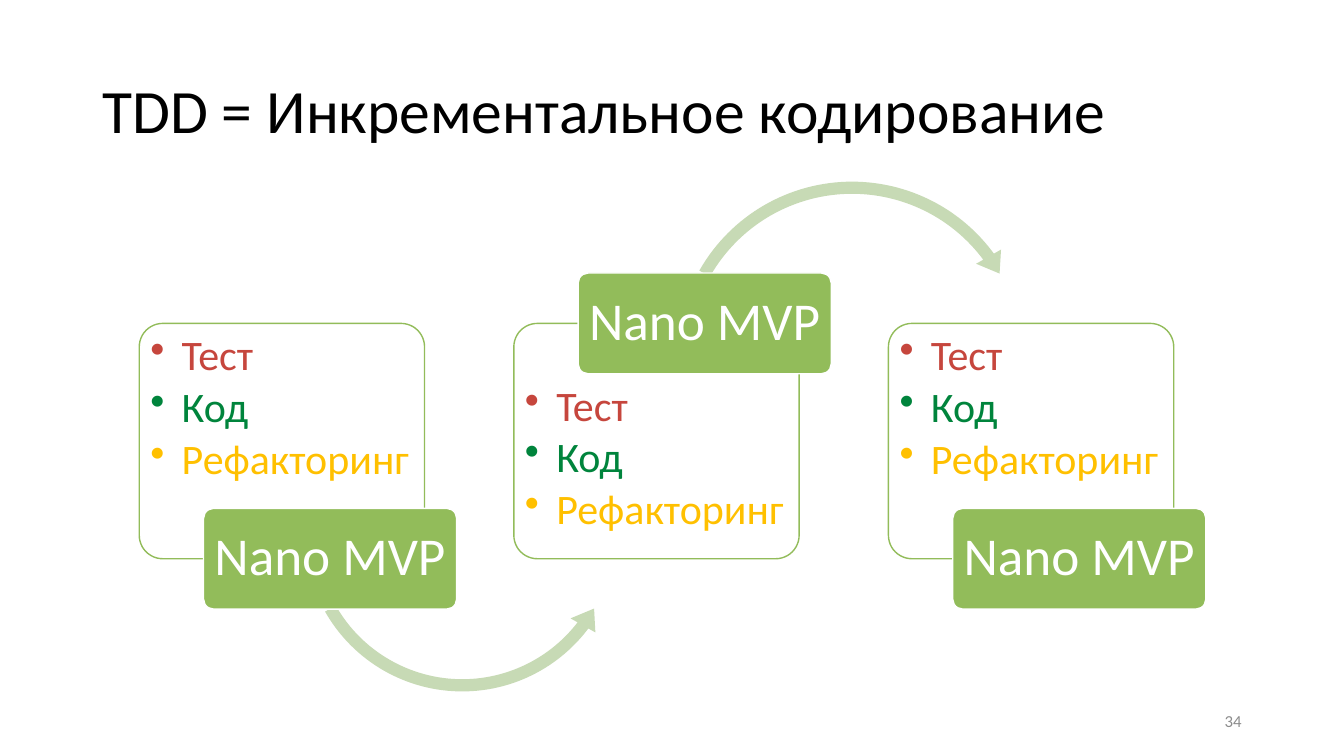
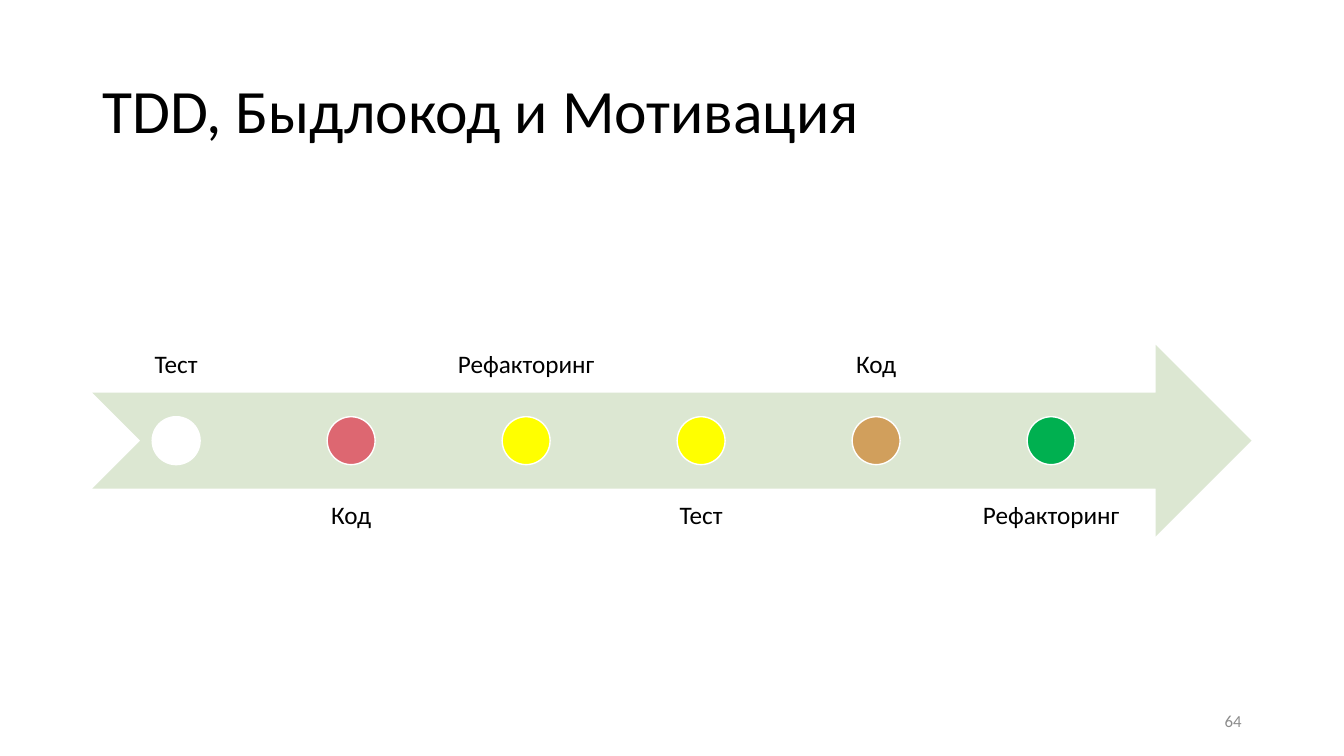
import pptx
import pptx.dml.color
import pptx.enum.shapes
import pptx.enum.text
import pptx.oxml.ns
import pptx.util
from lxml import etree

Cm, Pt = pptx.util.Cm, pptx.util.Pt
KIND = pptx.enum.shapes.MSO_SHAPE
ALIGN = pptx.enum.text.PP_ALIGN
ANCHOR = pptx.enum.text.MSO_ANCHOR

INK, WHITE, GREY = "000000", "FFFFFF", "8C8C8C"
GREEN, SWEEP, BAND = "92BC5A", "C7DAB5", "DCE7D2"

TITLE = {"size": 44, "color": INK, "spacing": 0.9, "anchor": ANCHOR.MIDDLE}
NUMBER = {"size": 12, "color": GREY, "align": ALIGN.RIGHT, "anchor": ANCHOR.MIDDLE}
LABEL = {"size": 38, "color": WHITE, "spacing": 0.9, "align": ALIGN.CENTER,
         "anchor": ANCHOR.MIDDLE, "inset": (0, 0.13)}
STAGE = {"size": 18, "color": INK, "spacing": 0.9, "align": ALIGN.CENTER,
         "inset": (0.36, 0.36)}
POINT = {"size": 30, "spacing": 0.9, "after": 4.5, "bullet": 0.79,
         "inset": (0.15, 0.15)}

POINTS = [("Тест", "C6463D"), ("Код", "00843C"), ("Рефакторинг", "FFC000")]
STEPS = [("Тест", WHITE), ("Код", "DD6771"), ("Рефакторинг", "FFFF00"),
         ("Тест", "FFFF00"), ("Код", "D19F5C"), ("Рефакторинг", "00B050")]


def rgb(code):
    """Turn a hex string into a colour."""
    return pptx.dml.color.RGBColor.from_string(code)


def apply(item, values):
    """Set each named attribute of an item."""
    for name, value in values.items():
        setattr(item, name, value)


def bullet(para, indent):
    """Give a paragraph a hanging round bullet."""
    props = para._p.get_or_add_pPr()
    props.set("marL", str(Cm(indent)))
    props.set("indent", str(-Cm(indent)))
    mark = etree.SubElement(props, pptx.oxml.ns.qn("a:buChar"))
    mark.set("char", "•")


def write(shape, lines, style):
    """Fill a shape with (text, colour) lines in one style."""
    frame = shape.text_frame
    side, edge = style.get("inset", (0.25, 0.13))
    apply(frame, {
        "word_wrap": True,
        "vertical_anchor": style.get("anchor", ANCHOR.TOP),
        "margin_left": Cm(side), "margin_right": Cm(side),
        "margin_top": Cm(edge), "margin_bottom": Cm(edge)})
    for index, (text, color) in enumerate(lines):
        para = frame.add_paragraph() if index else frame.paragraphs[0]
        if "bullet" in style:
            bullet(para, style["bullet"])
        apply(para, {
            "alignment": style.get("align", ALIGN.LEFT),
            "line_spacing": style.get("spacing", 1.0),
            "space_after": Pt(style.get("after", 0))})
        run = para.add_run()
        run.text = text
        apply(run.font, {"name": "Calibri", "size": Pt(style["size"])})
        run.font.color.rgb = rgb(color)


def note(slide, box, lines, style):
    """Place a text box."""
    if isinstance(lines, str):
        lines = [(lines, style["color"])]
    write(slide.shapes.add_textbox(*map(Cm, box)), lines, style)


def draw(slide, kind, box, fill, line=None, adjust=()):
    """Place a preset shape with flat fill and optional outline."""
    shape = slide.shapes.add_shape(kind, *map(Cm, box))
    shape.shadow.inherit = False
    shape.fill.solid()
    shape.fill.fore_color.rgb = rgb(fill)
    if line:
        shape.line.color.rgb = rgb(line)
        shape.line.width = Pt(1)
    else:
        shape.line.fill.background()
    for index, value in enumerate(adjust):
        shape.adjustments[index] = value
    return shape


def start(deck, title, number):
    """Add a slide with its title and page number."""
    slide = deck.slides.add_slide(deck.slide_layouts[6])
    note(slide, (2.33, 1.01, 29.21, 3.68), title, TITLE)
    note(slide, (23.92, 17.65, 7.62, 1.01), number, NUMBER)
    return slide


def card(slide, box, flip, arrow):
    """Draw a bulleted card, its outgoing arrow and its label."""
    left, top, width, height = box
    draw(slide, KIND.ROUNDED_RECTANGLE, box, WHITE, GREEN, [0.1])
    shift = 1.4 if flip else 0.13
    note(slide, (left + 0.13, top + shift, width - 0.28, 4.37), POINTS, POINT)
    if arrow:
        kind, across, down, size, adjust = arrow
        place = (left + across, top + down, size, size)
        draw(slide, kind, place, SWEEP, adjust=adjust)
    drop = -1.27 if flip else height - 1.27
    label = draw(slide, KIND.ROUNDED_RECTANGLE,
                 (left + 1.62, top + drop, 6.38, 2.54), GREEN, WHITE, [0.1])
    write(label, [("Nano MVP", LABEL["color"])], LABEL)


def cycle(slide, box):
    """Lay out three cards in a row, the middle one flipped."""
    left, top, width, height = box
    size = 7.19
    step = (width - size) / 2
    arrows = [
        (KIND.LEFT_CIRCULAR_ARROW, 3.96, 1.12, 8.36,
         [0.037, 4.574, 22.329, 90.245, 0.043]),
        (KIND.CIRCULAR_ARROW, 3.89, -3.78, 9.27,
         [0.033, 4.086, 194.159, 125.755, 0.039]),
        None]
    for index, arrow in enumerate(arrows):
        card(slide, (left + index * step, top, size, height), index == 1, arrow)


def timeline(slide, box):
    """Draw a band arrow with dots and labels on alternating sides."""
    left, top, width, height = box
    draw(slide, KIND.NOTCHED_RIGHT_ARROW, box, BAND)
    span, step, dot = 4.22, 4.41, height / 4
    for index, (text, color) in enumerate(STEPS):
        side = left + index * step
        above = index % 2 == 0
        shift = height * (-0.75 if above else 0.75)
        anchor = ANCHOR.BOTTOM if above else ANCHOR.TOP
        note(slide, (side, top + shift, span, height), text,
             {**STAGE, "anchor": anchor})
        draw(slide, KIND.OVAL,
             (side + (span - dot) / 2, top + (height - dot) / 2, dot, dot),
             color, WHITE)


def main():
    """Build and save the deck."""
    deck = pptx.Presentation()
    apply(deck, {"slide_width": Cm(33.87), "slide_height": Cm(19.05)})
    cycle(start(deck, "TDD = Инкрементальное кодирование", "34"),
          (3.51, 8.15, 26.07, 5.93))
    timeline(start(deck, "TDD, Быдлокод и Мотивация", "64"),
             (2.33, 8.69, 29.21, 4.83))
    deck.save("out.pptx")


if __name__ == "__main__":
    main()
